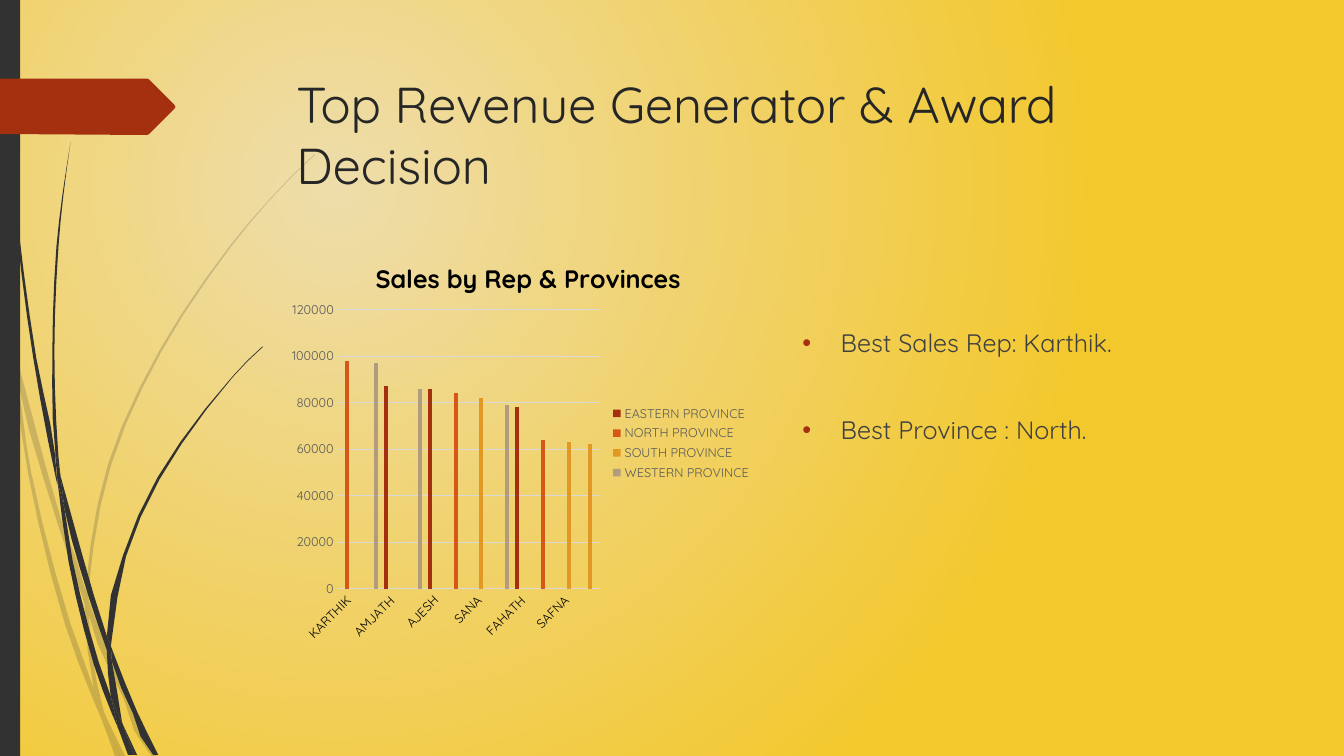
from math import hypot

from lxml.etree import SubElement
from pptx import Presentation
from pptx.chart.data import CategoryChartData
from pptx.dml.color import RGBColor
from pptx.enum.chart import XL_CHART_TYPE as ChartType, XL_LEGEND_POSITION as LegendPosition
from pptx.enum.chart import XL_TICK_MARK as TickMark
from pptx.enum.shapes import MSO_SHAPE as Shape
from pptx.oxml import parse_xml
from pptx.oxml.ns import nsdecls, qn
from pptx.util import Inches, Pt

FONT = "Quicksand"
COLORS = {
    "glow": "EEDDAB", "gold": "F3C82D", "dark": "323232", "red": "A5300F",
    "title": "262626", "body": "404040", "black": "000000", "label": "595959",
    "grid": "D9D9D9", "orange": "D55816", "amber": "E19825", "taupe": "B19C7D",
}
REPS = ["KARTHIK", "ANVER", "AMJATH", "NILO", "AJESH", "RAJESH",
        "SANA", "RAVI", "FAHATH", "MOHAN", "SAFNA", "KAMALA"]
PROVINCES = [
    ("EASTERN PROVINCE", "red", {"AMJATH": 87000, "AJESH": 86000, "FAHATH": 78000}),
    ("NORTH PROVINCE", "orange", {"KARTHIK": 98000, "RAJESH": 84000, "MOHAN": 64000}),
    ("SOUTH PROVINCE", "amber", {"SANA": 82000, "SAFNA": 63000, "KAMALA": 62000}),
    ("WESTERN PROVINCE", "taupe", {"ANVER": 97000, "NILO": 86000, "RAVI": 79000}),
]
PALE_WISPS = [
    [(0.11, 3.5), (0.09, 3.22), (0, 2.82), (0, 2.99), (0.1, 3.44)],
    [(0.58, 5.22), (0.84, 5.99), (0.85, 5.86), (0.62, 5.2), (0.14, 3.45), (0.17, 3.76)],
    [(0.92, 6.07), (0.88, 5.96), (0.88, 6.1), (1.23, 6.94), (1.5, 7.5), (1.55, 7.5),
     (1.27, 6.92)],
    [(1.19, 7.5), (1.24, 7.5), (1.05, 7.11)],
    [(0.93, 6.83), (0.7, 6.19), (0.31, 4.69), (0.17, 3.76), (0.11, 3.5), (0.28, 4.7),
     (0.65, 6.21), (0.92, 6.93), (1.01, 7.14), (0.99, 7.07)],
    [(0.84, 5.99), (0.87, 6.46), (0.93, 6.83), (0.96, 6.92), (1.05, 7.11), (1.03, 7.06),
     (0.91, 6.46), (0.88, 6.1), (0.88, 6.08)],
    [(0.88, 5.84), (1.1, 4.62), (1.6, 3.49), (2.29, 2.45), (2.68, 1.98), (2.9, 1.75),
     (3.12, 1.54), (3.12, 1.53), (2.89, 1.75), (2.68, 1.97), (2.28, 2.44), (1.58, 3.48),
     (1.07, 4.61), (0.85, 5.84), (0.85, 5.86), (0.88, 5.96)],
    [(1.01, 7.14), (1.14, 7.5), (1.19, 7.5)],
    [(0.88, 6.08), (0.88, 6.1), (0.88, 5.96), (0.85, 5.86), (0.84, 5.99)],
    [(0.96, 6.92), (0.93, 6.83), (0.99, 7.07), (1.01, 7.14), (1.19, 7.5), (1.05, 7.11)],
]
DARK_WISPS = [
    [(0.07, 1.1), (0.17, 2.33), (0.33, 3.55), (0.56, 4.77), (0.57, 4.81), (0.55, 4.57),
     (0.55, 4.53), (0.36, 3.55), (0.19, 2.32), (0.08, 1.09), (0.05, 0.48), (0.04, 0),
     (0.03, 0), (0.04, 0.48)],
    [(0.88, 5.92), (1.06, 6.45), (1.06, 6.33), (1.06, 6.31), (0.93, 5.9), (0.6, 4.72),
     (0.64, 5.05)],
    [(1.13, 6.49), (1.1, 6.41), (1.11, 6.56), (1.32, 7.08), (1.52, 7.49), (1.57, 7.49),
     (1.36, 7.06)],
    [(1.1, 6.91), (0.98, 6.57), (0.72, 5.56), (0.64, 5.05), (0.57, 4.77), (0.68, 5.57),
     (0.93, 6.59), (1.11, 7.08), (1.17, 7.22), (1.16, 7.17)],
    [(0.6, 4.72), (0.58, 4.53), (0.54, 3.49), (0.58, 2.45), (0.63, 1.93), (0.7, 1.41),
     (0.62, 1.93), (0.56, 2.45), (0.52, 3.49), (0.55, 4.49)],
    [(1.33, 7.49), (1.36, 7.49), (1.22, 7.19)],
    [(0.57, 4.77), (0.64, 5.05), (0.6, 4.72), (0.55, 4.49), (0.55, 4.53)],
    [(1.11, 6.33), (1.25, 5.52), (1.58, 4.76), (2.05, 4.06), (2.31, 3.74), (2.45, 3.59),
     (2.61, 3.44), (2.6, 3.44), (2.45, 3.58), (2.31, 3.73), (2.04, 4.05), (1.56, 4.74),
     (1.22, 5.51), (1.06, 6.31), (1.1, 6.41)],
    [(1.17, 7.22), (1.27, 7.49), (1.31, 7.49)],
    [(1.06, 6.45), (1.1, 6.91), (1.16, 7.06), (1.22, 7.19), (1.21, 7.16), (1.11, 6.56),
     (1.09, 6.51)],
    [(1.06, 6.45), (1.09, 6.51), (1.11, 6.56), (1.1, 6.41), (1.06, 6.31), (1.06, 6.33)],
    [(1.16, 7.06), (1.1, 6.91), (1.16, 7.17), (1.17, 7.22), (1.3, 7.49), (1.33, 7.49),
     (1.22, 7.19)],
]
ARROW = [(0, 0.78), (1.46, 0.78), (1.48, 0.79), (1.73, 1.04), (1.74, 1.06),
         (1.73, 1.08), (1.48, 1.33), (1.46, 1.34), (0, 1.33)]


def color(name):
    return RGBColor.from_string(COLORS[name])


def style_font(font, size, name, bold=False):
    font.name, font.size, font.bold = FONT, Pt(size), bold
    font.color.rgb = color(name)


def paint(shape, name):
    shape.shadow.inherit = False
    shape.fill.solid()
    shape.fill.fore_color.rgb = color(name)
    shape.line.fill.background()


def unit(start, end):
    dx, dy = end[0] - start[0], end[1] - start[1]
    length = hypot(dx, dy)
    return dx / length, dy / length


def smooth_outline(points):
    count = len(points)
    chords = [unit(points[i], points[(i + 1) % count]) for i in range(count)]

    def tangent(corner, chord):
        (ax, ay), (bx, by) = chords[corner - 1], chords[corner]
        return unit((0, 0), (ax + bx, ay + by)) if ax * bx + ay * by > 0 else chord

    outline = []
    for i, start in enumerate(points):
        after = (i + 1) % count
        end = points[after]
        reach = hypot(end[0] - start[0], end[1] - start[1])
        steps = min(3, 1 + int(reach / 0.45))
        leave, arrive = tangent(i, chords[i]), tangent(after, chords[i])
        for t in (step / steps for step in range(steps)):
            rise = t * t * (3 - 2 * t)
            outline.append(tuple(
                a + (b - a) * rise + reach * t * (1 - t) * ((1 - t) * m - t * n)
                for a, b, m, n in zip(start, end, leave, arrive)))
    return outline


def add_outline(page, points, name, opacity=100):
    corners = [(Inches(x), Inches(y)) for x, y in points]
    builder = page.shapes.build_freeform(*corners[0], scale=1.0)
    builder.add_line_segments(corners[1:], close=True)
    shape = builder.convert_to_shape()
    paint(shape, name)
    if opacity < 100:
        tint = shape.fill._xPr.find(qn("a:solidFill"))[0]
        SubElement(tint, qn("a:alpha")).set("val", str(opacity * 1000))


def set_background(page):
    fill = page.background.fill
    fill.gradient()
    for stop, name in zip(fill.gradient_stops, ("glow", "gold")):
        stop.color.rgb = color(name)
    linear = next(page.element.iter(qn("a:lin")))
    linear.getparent().replace(linear, parse_xml(
        f'<a:path {nsdecls("a")} path="circle">'
        '<a:fillToRect l="50000" t="50000" r="100000" b="100000"/></a:path>'))


def add_text(page, place, lines, size, name, top=0.05, gap=0, bullet=False):
    frame = page.shapes.add_textbox(*map(Inches, place)).text_frame
    frame.word_wrap = True
    frame.margin_top = Inches(top)
    for i, line in enumerate(lines):
        para = frame.paragraphs[0] if i == 0 else frame.add_paragraph()
        para.space_before = Pt(gap if i else 0)
        span = para.add_run()
        span.text = line
        style_font(span.font, size, name)
        if bullet:
            props = para._p.get_or_add_pPr()
            props.set("marL", str(Inches(0.38)))
            props.set("indent", str(-Inches(0.38)))
            tint = SubElement(props, qn("a:buClr"))
            SubElement(tint, qn("a:srgbClr")).set("val", COLORS["red"])
            SubElement(props, qn("a:buFont")).set("typeface", "Arial")
            SubElement(props, qn("a:buChar")).set("char", "•")


def place_part(part, **fractions):
    for old in part.findall(qn("c:layout")):
        part.remove(old)
    inner = '<c:layoutTarget val="inner"/>' if "w" in fractions else ""
    modes = "".join(f'<c:{axis}Mode val="edge"/>' for axis in "xy")
    sizes = "".join(f'<c:{key} val="{value}"/>' for key, value in fractions.items())
    layout = parse_xml(f'<c:layout {nsdecls("c")}><c:manualLayout>{inner}{modes}{sizes}'
                       '</c:manualLayout></c:layout>')
    part.insert(1 if part.tag == qn("c:title") else 0, layout)


def add_sales_chart(page, place):
    data = CategoryChartData()
    data.categories = REPS
    for province, _, sales in PROVINCES:
        data.add_series(province, [sales.get(rep) for rep in REPS])
    chart = page.shapes.add_chart(ChartType.COLUMN_CLUSTERED, *map(Inches, place), data).chart
    style_font(chart.font, 10, "black")
    span = chart.chart_title.text_frame.paragraphs[0].add_run()
    span.text = "Sales by Rep & Provinces"
    style_font(span.font, 18, "black", bold=True)
    place_part(chart.chart_title._element, x=0.18, y=0.05)
    plot = chart.plots[0]
    plot.gap_width, plot.vary_by_categories = 150, False
    for series, (_, name, _) in zip(plot.series, PROVINCES):
        series.format.fill.solid()
        series.format.fill.fore_color.rgb = color(name)
    place_part(chart._chartSpace.chart.plotArea, x=0.11, y=0.18, w=0.55, h=0.67)
    for axis, name in ((chart.category_axis, "black"), (chart.value_axis, "label")):
        axis.major_tick_mark = axis.minor_tick_mark = TickMark.NONE
        axis.format.line.fill.background()
        style_font(axis.tick_labels.font, 9, name)
    labels = chart.category_axis._element.find(qn("c:txPr"))
    labels.find(qn("a:bodyPr")).set("rot", "-60000000")
    values = chart.value_axis
    values.minimum_scale, values.maximum_scale, values.major_unit = 0, 120000, 20000
    values.major_gridlines.format.line.color.rgb = color("grid")
    values.major_gridlines.format.line.width = Pt(0.75)
    chart.has_legend = True
    chart.legend.position = LegendPosition.RIGHT
    chart.legend.include_in_layout = False
    style_font(chart.legend.font, 9, "label")


def main():
    deck = Presentation()
    deck.slide_width, deck.slide_height = Inches(13.33), Inches(7.5)
    page = deck.slides.add_slide(deck.slide_layouts[6])
    set_background(page)
    for wisps, opacity in ((PALE_WISPS, 20), (DARK_WISPS, 100)):
        for wisp in wisps:
            add_outline(page, smooth_outline(wisp), "dark", opacity)
    paint(page.shapes.add_shape(Shape.RECTANGLE, 0, 0, Inches(0.2), Inches(7.5)), "dark")
    add_outline(page, ARROW, "red")
    add_text(page, (2.84, 0.68, 9.75, 1.4),
             ["Top Revenue Generator & Award Decision"], 36, "title")
    add_text(page, (7.86, 2.33, 4.72, 4.13),
             ["Best Sales Rep: Karthik.", "Best Province : North."],
             18, "body", top=0.92, gap=40.5, bullet=True)
    add_sales_chart(page, (2.83, 2.33, 4.72, 4.13))
    deck.save("out.pptx")


if __name__ == "__main__":
    main()
